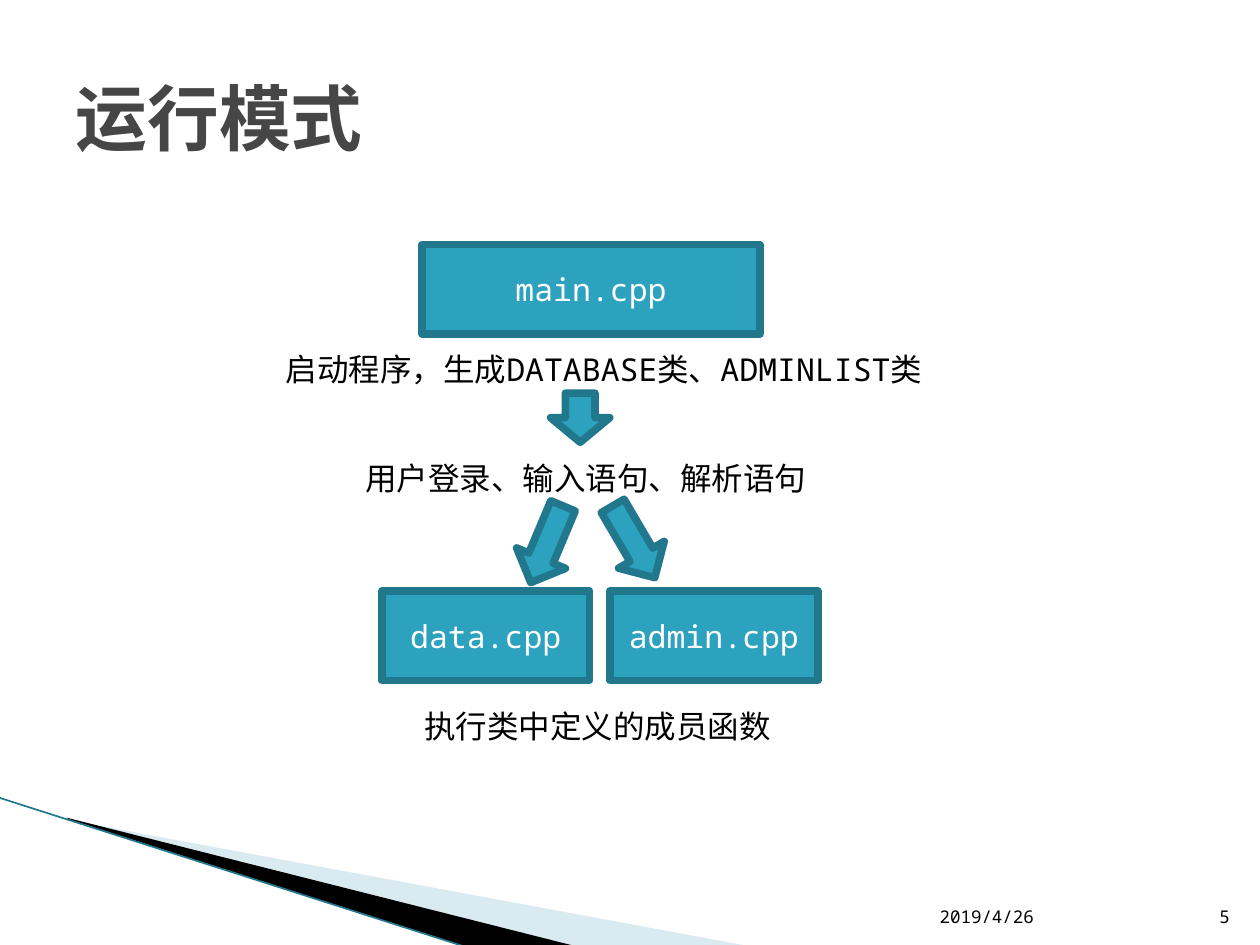
"""Build the run mode slide: a flow from main.cpp to the class files."""
from typing import NamedTuple

from lxml import etree
from pptx import Presentation
from pptx import util as u
from pptx.dml.color import RGBColor
from pptx.enum import shapes, text
from pptx.oxml.ns import qn

FONT = "Noto Sans Mono"
TEAL, DARK_TEAL, PALE_BLUE = "2DA2BF", "21788D", "A0CBDC"
BLACK, WHITE, GREY = "000000", "FFFFFF", "464646"
LEFT, CENTER, RIGHT = text.PP_ALIGN.LEFT, text.PP_ALIGN.CENTER, text.PP_ALIGN.RIGHT
TOP, MIDDLE, BOTTOM = text.MSO_ANCHOR.TOP, text.MSO_ANCHOR.MIDDLE, text.MSO_ANCHOR.BOTTOM


class Module(NamedTuple):
    """A source file in the flow."""
    file: str
    left: float
    top: float
    width: float


class Arrow(NamedTuple):
    """A block arrow between two steps."""
    left: float
    top: float
    width: float
    height: float
    turn: float


class Label(NamedTuple):
    """A line of free text."""
    words: str
    left: float
    top: float
    width: float
    size: float = 18
    align: text.PP_ALIGN = LEFT
    anchor: text.MSO_ANCHOR = TOP


class Wedge(NamedTuple):
    """A filled sliver of the corner decoration."""
    points: tuple
    color: str
    opacity: int


MODULES = [
    Module("main.cpp", 3.35, 1.94, 2.68),
    Module("data.cpp", 3.03, 4.69, 1.65),
    Module("admin.cpp", 4.84, 4.69, 1.65),
]
ARROWS = [
    Arrow(4.37, 3.12, 0.47, 0.39, 0),
    Arrow(4.13, 3.99, 0.42, 0.66, 22.8),
    Arrow(4.82, 3.97, 0.42, 0.66, 329.6),
]
LABELS = [
    Label("启动程序，生成DATABASE类、ADMINLIST类", 2.17, 2.73, 5.36),
    Label("用户登录、输入语句、解析语句", 2.8, 3.59, 3.74),
    Label("执行类中定义的成员函数", 3.27, 5.56, 2.98),
    Label("2019/4/26", 7.36, 7.01, 2.1, 10, LEFT, BOTTOM),
    Label("5", 9.46, 7.01, 0.4, 10, RIGHT, BOTTOM),
]
WEDGES = [
    Wedge(((0.55, 6.51), (5.95, 7.51), (4.56, 7.51), (0.55, 6.5)), PALE_BLUE, 40),
    Wedge(((0.53, 6.49), (4.57, 7.51), (3.72, 7.52), (0.54, 6.5)), BLACK, 100),
]


def rgb(color: str) -> RGBColor:
    """Turn a hex string into a colour."""
    return RGBColor.from_string(color)


def write(frame, words: str, size: float, color: str, align, anchor, bold=False) -> None:
    """Put one formatted run into a text frame."""
    frame.word_wrap = True
    frame.vertical_anchor = anchor
    paragraph = frame.paragraphs[0]
    paragraph.alignment = align
    run = paragraph.add_run()
    run.text = words
    run.font.name, run.font.size, run.font.bold = FONT, u.Pt(size), bold
    run.font.color.rgb = rgb(color)
    etree.SubElement(run.font._element, qn("a:ea"), typeface=FONT)


def add_block(slide, kind, left: float, top: float, width: float, height: float):
    """Add a teal preset shape with a heavy outline."""
    block = slide.shapes.add_shape(kind, *map(u.Inches, (left, top, width, height)))
    block.shadow.inherit = False
    block.fill.solid()
    block.fill.fore_color.rgb = rgb(TEAL)
    block.line.color.rgb = rgb(DARK_TEAL)
    block.line.width = u.Pt(4.33)
    return block


def add_module(slide, module: Module) -> None:
    """Draw a source file box."""
    box = add_block(slide, shapes.MSO_SHAPE.RECTANGLE, module.left, module.top, module.width, 0.71)
    write(box.text_frame, module.file, 18, WHITE, CENTER, MIDDLE)


def add_arrow(slide, arrow: Arrow) -> None:
    """Draw a turned down arrow."""
    block = add_block(slide, shapes.MSO_SHAPE.DOWN_ARROW, *arrow[:4])
    block.rotation = arrow.turn


def add_label(slide, label: Label) -> None:
    """Draw a line of free text."""
    box = slide.shapes.add_textbox(*map(u.Inches, (label.left, label.top, label.width, 0.4)))
    write(box.text_frame, label.words, label.size, BLACK, label.align, label.anchor)


def add_wedge(slide, wedge: Wedge) -> None:
    """Draw a sliver of the corner decoration."""
    first, *rest = [tuple(map(u.Inches, point)) for point in wedge.points]
    outline = slide.shapes.build_freeform(*first)
    outline.add_line_segments(rest)
    sliver = outline.convert_to_shape()
    sliver.shadow.inherit = False
    sliver.fill.solid()
    sliver.fill.fore_color.rgb = rgb(wedge.color)
    sliver.line.fill.background()
    if wedge.opacity < 100:
        tint = sliver._element.spPr.find(".//" + qn("a:srgbClr"))
        etree.SubElement(tint, qn("a:alpha"), val=str(wedge.opacity * 1000))


def add_edge(slide) -> None:
    """Draw the thin line along the corner decoration."""
    edge = slide.shapes.add_connector(
        shapes.MSO_CONNECTOR.STRAIGHT, *map(u.Inches, (-0.01, 6.33, 3.71, 7.52)))
    edge.line.color.rgb = rgb(DARK_TEAL)
    edge.line.width = u.Pt(0.95)
    etree.SubElement(edge._element.spPr, qn("a:effectLst"))


def add_heading(slide, words: str) -> None:
    """Place and format the title."""
    heading = slide.shapes.title
    heading.left, heading.top, heading.width, heading.height = map(u.Inches, (0.5, 0.3, 9, 1.25))
    write(heading.text_frame, words, 41, GREY, LEFT, MIDDLE, bold=True)


def main() -> None:
    """Build and save the slide."""
    deck = Presentation()
    deck.slide_width, deck.slide_height = u.Inches(10), u.Inches(7.5)
    slide = deck.slides.add_slide(deck.slide_layouts[5])
    for wedge in WEDGES:
        add_wedge(slide, wedge)
    add_edge(slide)
    add_heading(slide, "运行模式")
    for module in MODULES:
        add_module(slide, module)
    for label in LABELS:
        add_label(slide, label)
    for arrow in ARROWS:
        add_arrow(slide, arrow)
    deck.save("out.pptx")


main()
